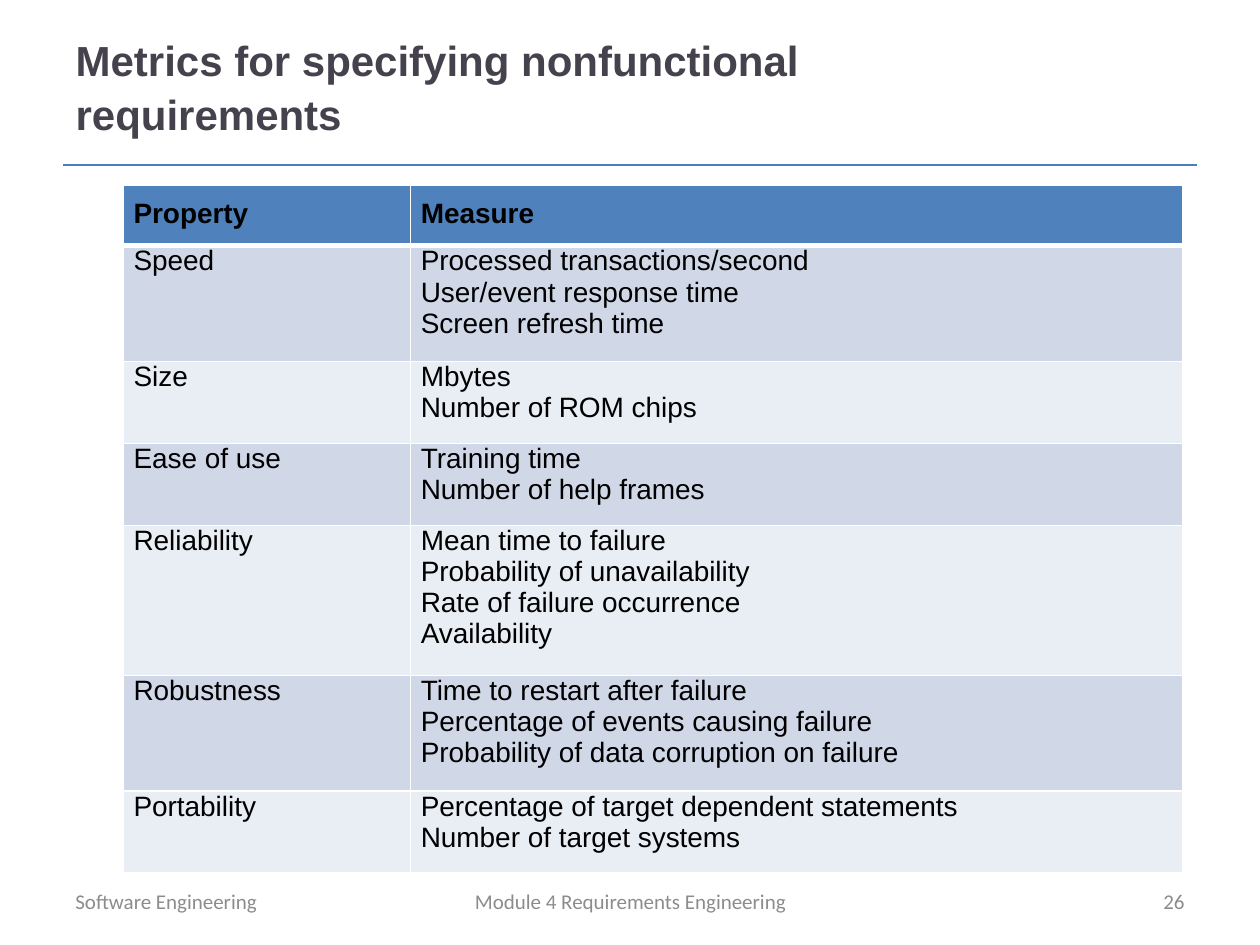
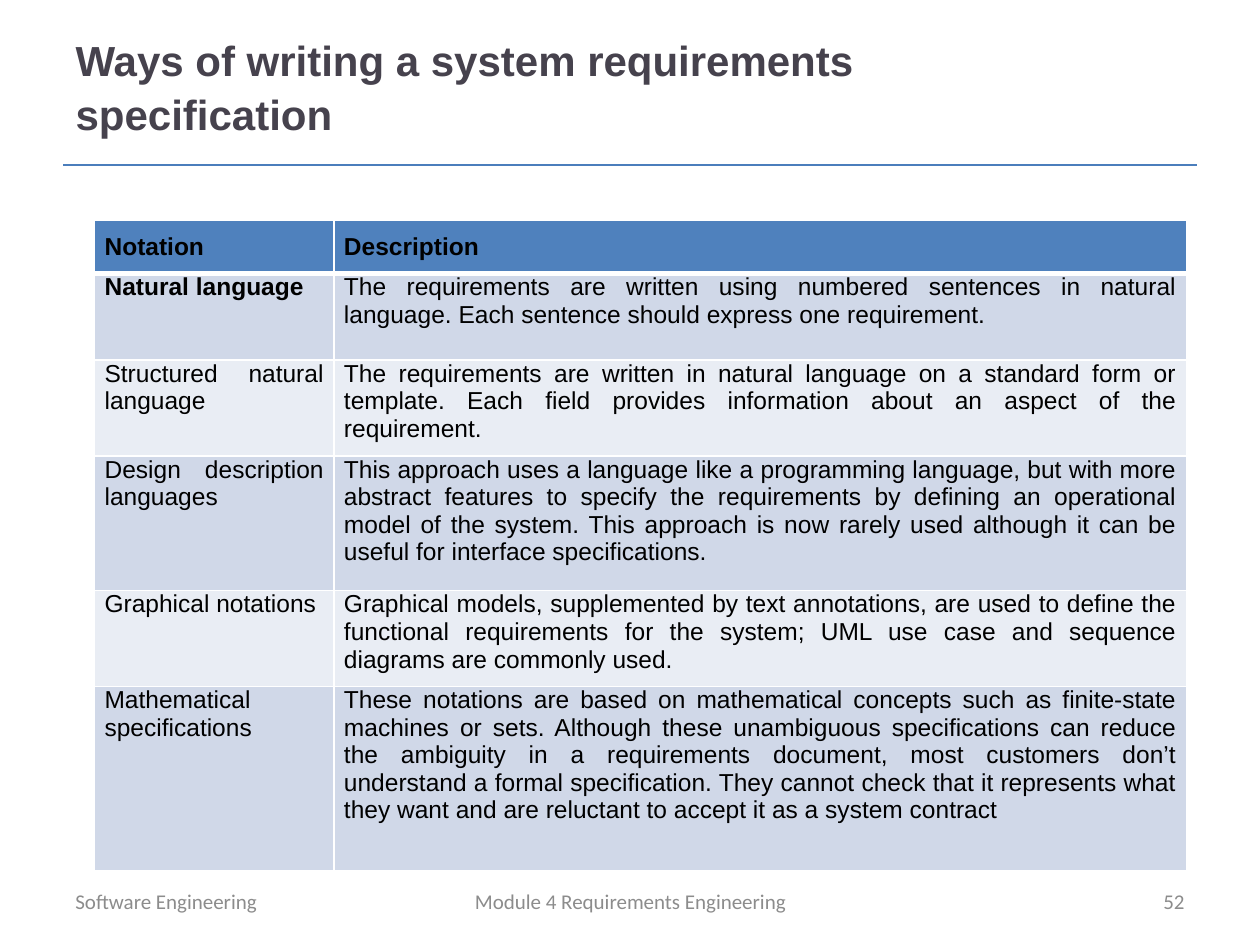
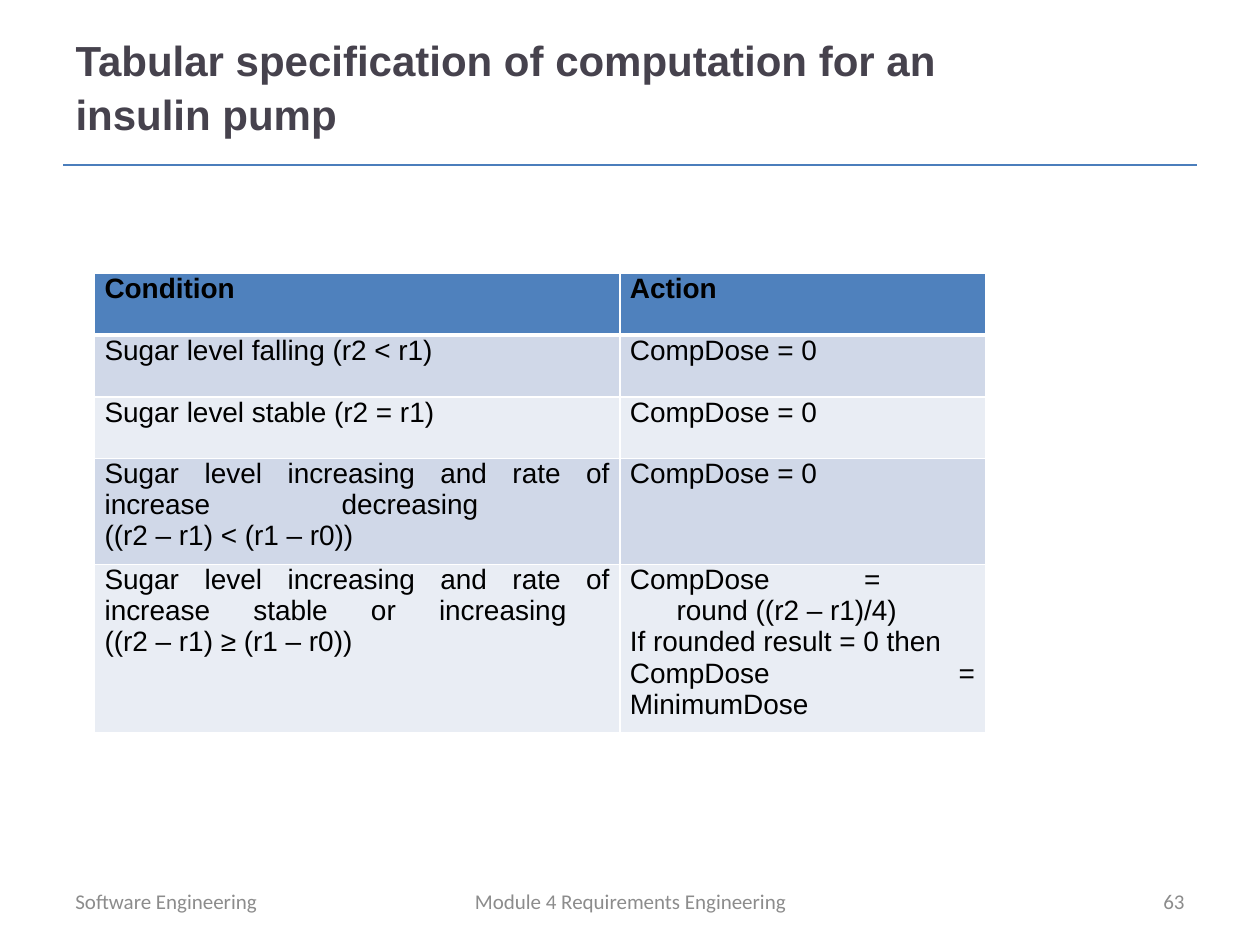
"""Build three requirements engineering slides, each with a title, a table and a footer."""
from dataclasses import dataclass

import lxml.etree
import pptx
import pptx.dml.color
import pptx.enum.shapes
import pptx.enum.text
import pptx.oxml.ns
import pptx.presentation
import pptx.slide
import pptx.table
import pptx.text.text
import pptx.util

RGBColor = pptx.dml.color.RGBColor
Pt = pptx.util.Pt
Align = pptx.enum.text.PP_ALIGN
Anchor = pptx.enum.text.MSO_ANCHOR
qn = pptx.oxml.ns.qn

WHITE = RGBColor(0xFF, 0xFF, 0xFF)
BLACK = RGBColor(0x00, 0x00, 0x00)
TITLE_GREY = RGBColor(0x46, 0x42, 0x4D)
FOOTER_GREY = RGBColor(0x8C, 0x8C, 0x8C)
RULE_BLUE = RGBColor(0x4B, 0x7E, 0xBC)
HEAD_BLUE = RGBColor(0x4F, 0x81, 0xBD)
BANDS = (RGBColor(0xD0, 0xD8, 0xE8), RGBColor(0xE9, 0xED, 0xF4))

SLIDE_COLS, SLIDE_ROWS = 10, 7.5
GRID = pptx.util.Inches(1)
MARGIN = 0.5
RULE_Y = 1.31
FOOTER_Y, FOOTER_H = 6.95, 0.4
TAB_STOP = 0.37


@dataclass(frozen=True)
class Footer:
    """One footer text and the grid columns it covers."""
    text: str
    left: float
    width: float
    align: Align


@dataclass(frozen=True)
class TableSlide:
    """A slide's title, page number and table; a tuple in a row holds paragraphs."""
    title: str
    page: int
    left: float
    top: float
    widths: tuple[float, ...]
    heights: tuple[float, ...]
    size: int
    rows: tuple[tuple[str | tuple[str, ...], ...], ...]
    head_inset: float = 0.1
    bold_label: str = ""


SLIDES = (
    TableSlide(
        "Metrics for specifying nonfunctional requirements", 26,
        0.98, 1.47, (2.28, 6.13), (0.48, 0.92, 0.65, 0.65, 1.19, 0.92, 0.65), 16,
        (
            ("Property", "Measure"),
            ("Speed", ("Processed transactions/second", "User/event response time",
                       "Screen refresh time")),
            ("Size", ("Mbytes", "Number of ROM chips")),
            ("Ease of use", ("Training time", "Number of help frames")),
            ("Reliability", ("Mean time to failure", "Probability of unavailability",
                             "Rate of failure occurrence", "Availability")),
            ("Robustness", ("Time to restart after failure",
                            "Percentage of events causing failure",
                            "Probability of data corruption on failure")),
            ("Portability", ("Percentage of target dependent statements",
                             "Number of target systems")),
        ),
    ),
    TableSlide(
        "Ways of writing a system requirements specification", 52,
        0.75, 1.75, (1.9, 6.77), (0.4, 0.69, 0.76, 1.07, 0.76, 1.46), 14,
        (
            ("Notation", "Description"),
            ("Natural language",
             "The requirements are written using numbered sentences in natural language. "
             "Each sentence should express one requirement."),
            ("Structured natural language ",
             "The requirements are written in natural language on a standard form or "
             "template. Each field provides information about an aspect of the requirement."),
            ("Design description languages",
             "This approach uses a language like a programming language, but with more "
             "abstract features to specify the requirements by defining an operational "
             "model of the system. This approach is now rarely used although it can be "
             "useful for interface specifications."),
            ("Graphical notations",
             "Graphical models, supplemented by text annotations, are used to define the "
             "functional requirements for the system; UML use case and sequence diagrams "
             "are commonly used."),
            ("Mathematical specifications",
             "These notations are based on mathematical concepts such as finite-state "
             "machines or sets. Although these unambiguous specifications can reduce the "
             "ambiguity in a requirements document, most customers don’t understand a "
             "formal specification. They cannot check that it represents what they want "
             "and are reluctant to accept it as a system contract"),
        ),
        bold_label="Natural language",
    ),
    TableSlide(
        "Tabular specification of computation for an insulin pump", 63,
        0.75, 2.17, (4.17, 2.9), (0.49, 0.49, 0.49, 0.84, 1.33), 16,
        (
            ("Condition", "Action"),
            ("Sugar level falling (r2 < r1)", "CompDose = 0"),
            ("Sugar level stable (r2 = r1)", "CompDose = 0"),
            ("Sugar level increasing and rate of increase decreasing \n"
             "((r2 – r1) < (r1 – r0))", "CompDose = 0"),
            ("Sugar level increasing and rate of increase stable or increasing \n"
             "((r2 – r1) ≥ (r1 – r0))",
             ("CompDose = \n\tround ((r2 – r1)/4)", "If rounded result = 0 then ",
              "CompDose = MinimumDose")),
        ),
        head_inset=0,
    ),
)


def span(cells: float) -> int:
    """Turn a number of grid cells into a length."""
    return round(cells * GRID)


def write(p: pptx.text.text._Paragraph, text: str, font: str, size: int,
          color: RGBColor, align: Align, bold: bool = False) -> None:
    """Write a paragraph run by run, with a line break at each newline."""
    p.alignment = align
    for i, line in enumerate(text.split("\n")):
        if i:
            p.add_line_break()
        r = p.add_run()
        r.text = line
        r.font.name, r.font.size, r.font.bold = font, Pt(size), bold
        r.font.color.rgb = color
    if "\t" in text:
        tabs = lxml.etree.SubElement(p._p.get_or_add_pPr(), qn("a:tabLst"))
        lxml.etree.SubElement(tabs, qn("a:tab"), pos=str(span(TAB_STOP)), algn="l")


def add_title(s: pptx.slide.Slide, text: str) -> None:
    """Place and format the title placeholder."""
    sp = s.shapes.title
    sp.left, sp.top, sp.width, sp.height = map(span, (MARGIN, 0.05, 7.98, 1.25))
    tf = sp.text_frame
    tf.auto_size = pptx.enum.text.MSO_AUTO_SIZE.NONE
    tf.vertical_anchor = Anchor.MIDDLE
    p = tf.paragraphs[0]
    p.line_spacing = 1.07
    write(p, text, "Arial", 24, TITLE_GREY, Align.LEFT, bold=True)


def add_rule(s: pptx.slide.Slide) -> None:
    """Draw the line under the title."""
    line = s.shapes.add_connector(
        pptx.enum.shapes.MSO_CONNECTOR.STRAIGHT,
        *map(span, (MARGIN, RULE_Y, SLIDE_COLS - MARGIN, RULE_Y)))
    line.line.color.rgb = RULE_BLUE
    line.line.width = Pt(0.75)
    lxml.etree.SubElement(line._element.spPr, qn("a:effectLst"))


def add_footer(s: pptx.slide.Slide, footer: Footer) -> None:
    """Add one footer text box."""
    sp = s.shapes.add_textbox(*map(span, (footer.left, FOOTER_Y, footer.width, FOOTER_H)))
    tf = sp.text_frame
    tf.word_wrap = True
    tf.vertical_anchor = Anchor.MIDDLE
    write(tf.paragraphs[0], footer.text, "Calibri", 12, FOOTER_GREY, footer.align)


def set_borders(cell: pptx.table._Cell, row: int) -> None:
    """Give a cell white borders, thicker between the header and the first row."""
    widths = {"L": 1, "R": 1, "T": 3 if row == 1 else 1, "B": 3 if row == 0 else 1}
    for side, width in widths.items():
        ln = lxml.etree.SubElement(cell._tc.get_or_add_tcPr(), qn(f"a:ln{side}"),
                                   w=str(Pt(width)))
        fill = lxml.etree.SubElement(ln, qn("a:solidFill"))
        lxml.etree.SubElement(fill, qn("a:srgbClr"), val=str(WHITE))


def add_table(s: pptx.slide.Slide, data: TableSlide) -> None:
    """Add the table with its header and alternating bands."""
    frame = s.shapes.add_table(
        len(data.rows), len(data.widths), span(data.left), span(data.top),
        span(sum(data.widths)), span(sum(data.heights)))
    table = frame.table
    table.horz_banding = False
    for column, width in zip(table.columns, data.widths):
        column.width = span(width)
    for i, (row, height) in enumerate(zip(data.rows, data.heights)):
        table.rows[i].height = span(height)
        for j, content in enumerate(row):
            cell = table.cell(i, j)
            cell.margin_left = cell.margin_right = span(0.08)
            cell.margin_top = span(0 if i else data.head_inset)
            cell.margin_bottom = span(0.1)
            set_borders(cell, i)
            cell.fill.solid()
            cell.fill.fore_color.rgb = BANDS[(i - 1) % 2] if i else HEAD_BLUE
            texts = (content,) if isinstance(content, str) else content
            tf = cell.text_frame
            for k, text in enumerate(texts):
                p = tf.add_paragraph() if k else tf.paragraphs[0]
                write(p, text, "Arial", data.size, BLACK, Align.JUSTIFY,
                      bold=i == 0 or text == data.bold_label)


def add_slide(prs: pptx.presentation.Presentation, data: TableSlide) -> None:
    """Add one complete slide on the title-only layout."""
    s = prs.slides.add_slide(prs.slide_layouts[5])
    add_rule(s)
    add_title(s, data.title)
    add_table(s, data)
    for footer in (
        Footer("Software Engineering", MARGIN, 2.33, Align.LEFT),
        Footer("Module 4 Requirements Engineering", 3.42, 3.17, Align.CENTER),
        Footer(str(data.page), 7.17, 2.33, Align.RIGHT),
    ):
        add_footer(s, footer)


def main() -> None:
    """Build and save the presentation."""
    prs = pptx.Presentation()
    prs.slide_width, prs.slide_height = span(SLIDE_COLS), span(SLIDE_ROWS)
    for data in SLIDES:
        add_slide(prs, data)
    prs.save("out.pptx")


if __name__ == "__main__":
    main()
